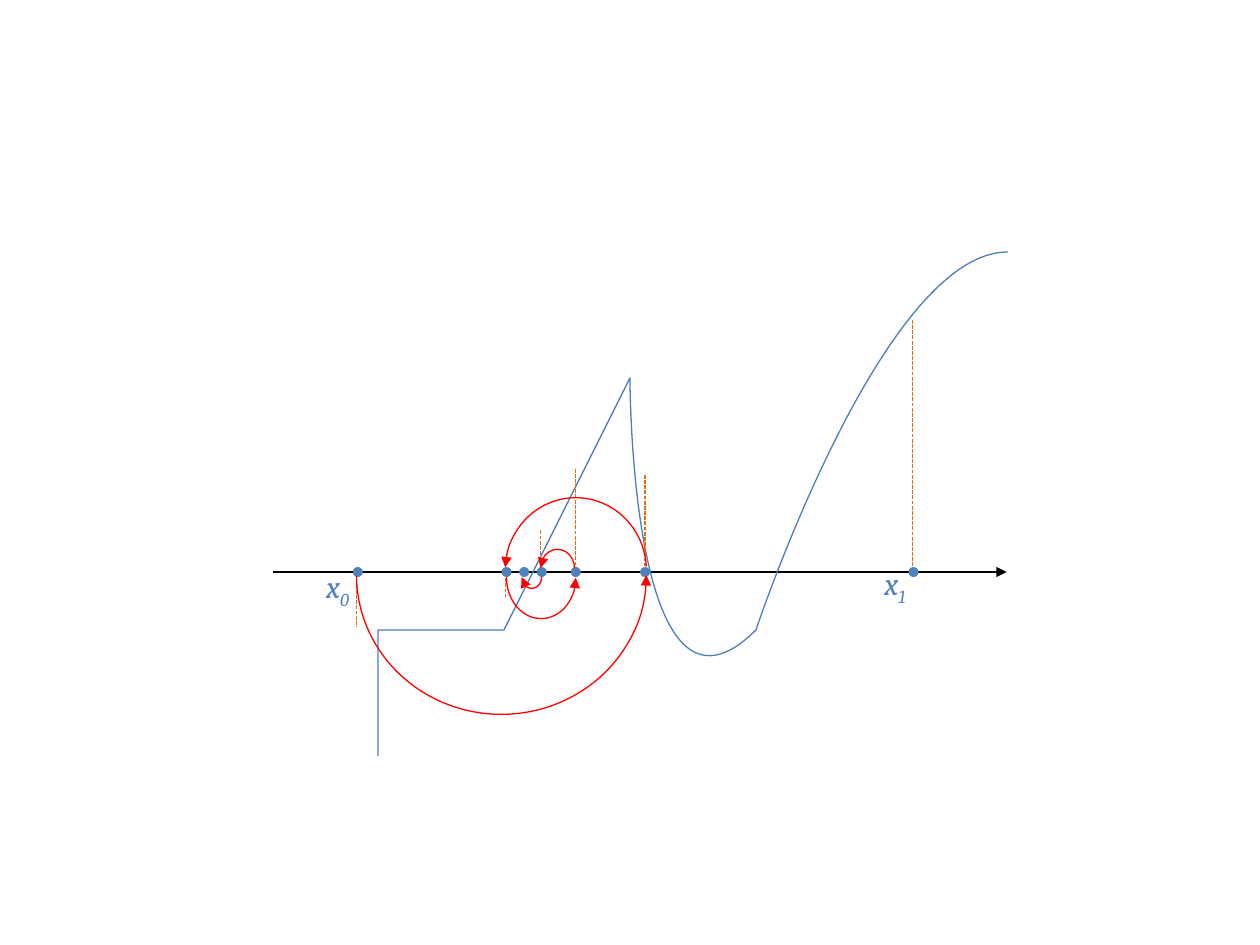
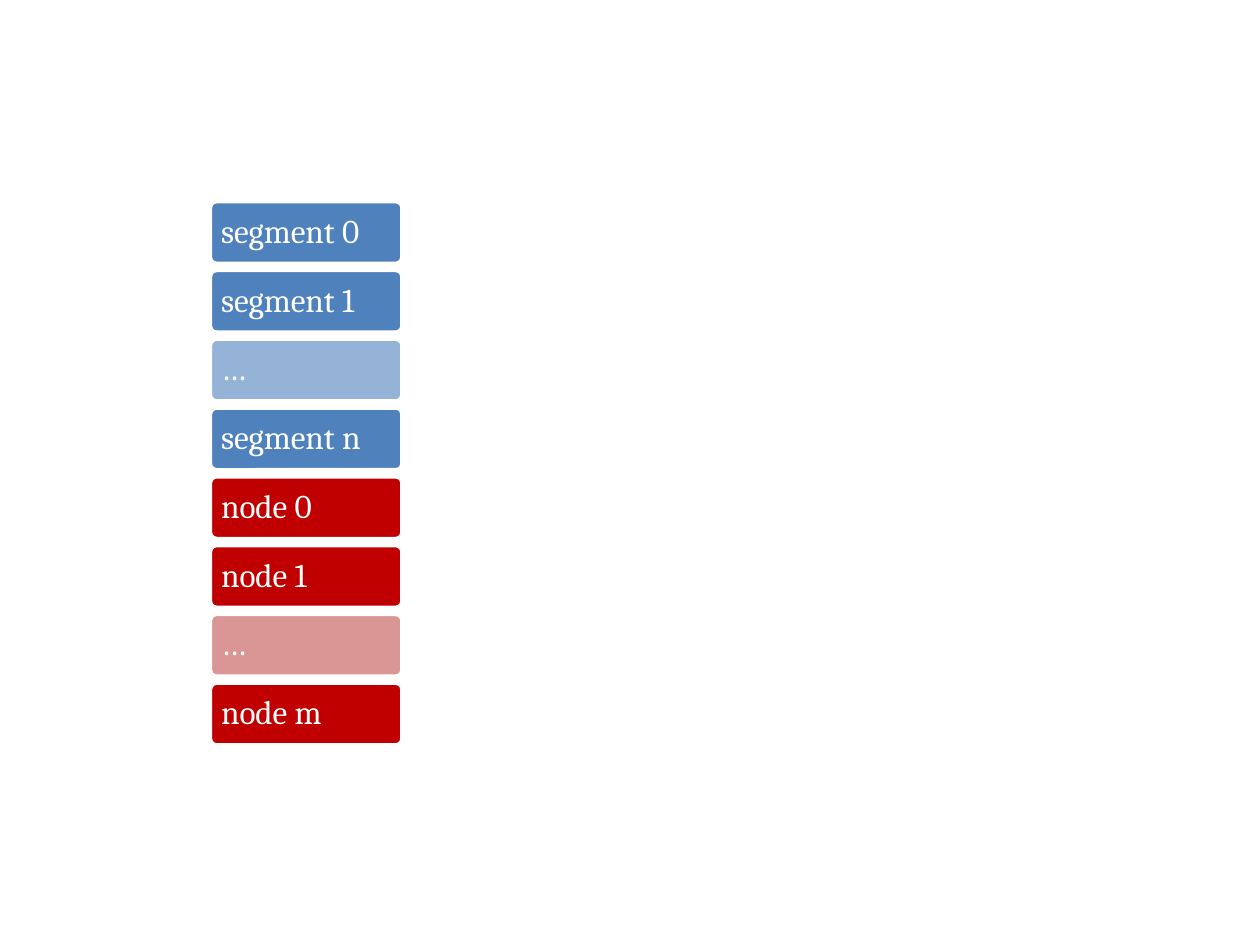
from lxml import etree
from pptx import Presentation, util as u
from pptx.dml.color import RGBColor
from pptx.enum import dml, shapes, text
from pptx.oxml.ns import qn

COLORS = {
    "axis": "000000", "curve": "4B7EBC", "blue": "4F81BD", "pale_blue": "95B3D7",
    "red": "C00000", "pale_red": "D99694", "guide": "E46C0A", "jump": "FF0000",
    "white": "FFFFFF",
}
BLANK_LAYOUT = 6


def color(name):
    return RGBColor.from_string(COLORS[name])


class Sketch:
    """Holds the deck, its style and the current page."""

    font = "Cambria"
    thin = 0.75

    def __init__(self):
        self.deck = Presentation()
        self.deck.slide_width = u.Inches(10)
        self.deck.slide_height = u.Inches(7.5)
        self.page = None

    def new_page(self):
        self.page = self.deck.slides.add_slide(self.deck.slide_layouts[BLANK_LAYOUT])

    def outline(self, item, name, width=thin, arrow=False):
        item.line.color.rgb = color(name)
        item.line.width = u.Pt(width)
        if arrow:
            line = item.line._get_or_add_ln()
            etree.SubElement(line, qn("a:tailEnd"), type="triangle")

    def style_span(self, span, size, name):
        span.font.name = self.font
        span.font.size = u.Pt(size)
        span.font.color.rgb = color(name)

    def shape(self, kind, left, top, width, height):
        shape = self.page.shapes.add_shape(
            kind, u.Inches(left), u.Inches(top), u.Inches(width), u.Inches(height))
        shape.shadow.inherit = False
        return shape

    def line(self, start, end, name, arrow=False, dashed=False):
        line = self.page.shapes.add_connector(
            shapes.MSO_CONNECTOR.STRAIGHT, *map(u.Inches, start + end))
        if dashed:
            line.line.dash_style = dml.MSO_LINE.SQUARE_DOT
        self.outline(line, name, arrow=arrow)
        etree.SubElement(line._element.spPr, qn("a:effectLst"))

    def curve(self, points, name):
        """Draw a start point followed by triples of Bezier points."""
        builder = self.page.shapes.build_freeform(*points[0], scale=u.Inches(1))
        builder.add_line_segments(points[1:], close=False)
        shape = builder.convert_to_shape()
        shape.shadow.inherit = False
        shape.fill.background()
        self.outline(shape, name)
        # Join every three straight segments into one cubic segment
        segments = list(shape._element.iter(qn("a:lnTo")))
        outline = segments[0].getparent()
        for first in range(0, len(segments), 3):
            cubic = etree.SubElement(outline, qn("a:cubicBezTo"))
            for segment in segments[first:first + 3]:
                cubic.append(segment[0])
                outline.remove(segment)

    def dot(self, x, y, size=0.08):
        dot = self.shape(shapes.MSO_SHAPE.OVAL, x - size / 2, y - size / 2, size, size)
        dot.fill.solid()
        dot.fill.fore_color.rgb = color("blue")
        dot.line.fill.background()

    def arc(self, place, angles, flips):
        arc = self.shape(shapes.MSO_SHAPE.ARC, *place)
        for index, degrees in enumerate(angles):
            arc.adjustments[index] = degrees * 0.6  # 60000 units per degree
        for flip in flips:
            arc._element.spPr.xfrm.set("flip" + flip, "1")
        arc.fill.background()
        self.outline(arc, "jump", arrow=True)

    def variable(self, left, top, letter, index):
        box = self.page.shapes.add_textbox(*map(u.Inches, (left, top, 0.41, 0.4)))
        box.text_frame.word_wrap = False
        box.text_frame.auto_size = text.MSO_AUTO_SIZE.SHAPE_TO_FIT_TEXT
        para = box.text_frame.paragraphs[0]
        for part in (letter, index):
            span = para.add_run()
            span.text = part
            span.font.italic = True
            self.style_span(span, 18, "blue")
        span.font._element.set("baseline", "-25000")

    def block(self, left, top, width, height, label, fill):
        block = self.shape(shapes.MSO_SHAPE.ROUNDED_RECTANGLE, left, top, width, height)
        block.adjustments[0] = 0.1
        block.fill.solid()
        block.fill.fore_color.rgb = color(fill)
        self.outline(block, "white", 2)
        frame = block.text_frame
        frame.text = label
        frame.word_wrap = True
        frame.vertical_anchor = text.MSO_ANCHOR.MIDDLE
        frame.margin_left = frame.margin_right = u.Inches(0.07)
        frame.margin_top = frame.margin_bottom = u.Inches(0.07)
        para = frame.paragraphs[0]
        para.alignment = text.PP_ALIGN.LEFT
        para.line_spacing = 0.9
        self.style_span(para.runs[0], 19, "white")


sketch = Sketch()

# Slide 1: bisection on a curve
sketch.new_page()
AXIS_Y = 4.54
sketch.line((2.17, AXIS_Y), (7.99, AXIS_Y), "axis", arrow=True)
sketch.curve([
    (2.51, 5.54),
    (2.69, 5.19), (2.88, 4.84), (3.08, 4.79),
    (3.28, 4.74), (3.44, 5.45), (3.73, 5.22),
    (4.03, 4.99), (4.51, 3.4), (4.87, 3.42),
    (5.24, 3.43), (5.48, 5.55), (5.93, 5.29),
    (6.38, 5.03), (7.18, 2.45), (7.57, 1.86),
], "curve")

# Points on the axis and dashed guides to the curve
for x in (2.84, 4.02, 4.16, 4.3, 4.57, 5.12, 7.25):
    sketch.dot(x, AXIS_Y)
for x, top, bottom in (
    (7.24, 2.54, 4.49), (2.83, 4.6, 4.98), (5.12, 3.77, 4.49),
    (4.57, 3.72, 4.5), (4.01, 4.59, 4.74), (4.29, 4.21, 4.5),
):
    sketch.line((x, top), (x, bottom), "guide", dashed=True)

# Jumps from each point to the next midpoint
for place, angles, flips in (
    ((2.83, 3.46, 2.3, 2.21), (180.2, 0), "V"),
    ((4.01, 3.95, 1.12, 1.15), (182.94, 357.83), "H"),
    ((4.02, 4.26, 0.55, 0.65), (179.16, 0), "V"),
    ((4.29, 4.36, 0.27, 0.3), (179.16, 0), "H"),
    ((4.14, 4.49, 0.16, 0.18), (179.16, 0), "HV"),
):
    sketch.arc(place, angles, flips)

sketch.variable(2.49, 4.45, "x", "0")
sketch.variable(6.92, 4.43, "x", "1")

# Slide 2: stack of segments and nodes
sketch.new_page()
BLOCK_TOP, BLOCK_STEP = 1.6, 0.546
blocks = [
    (label, pale if label == "…" else strong)
    for noun, last, strong, pale in (
        ("segment", "n", "blue", "pale_blue"), ("node", "m", "red", "pale_red"))
    for label in (f"{noun} 0", f"{noun} 1", "…", f"{noun} {last}")
]
for row, (label, fill) in enumerate(blocks):
    sketch.block(1.67, BLOCK_TOP + row * BLOCK_STEP, 1.52, 0.49, label, fill)

sketch.deck.save("out.pptx")
